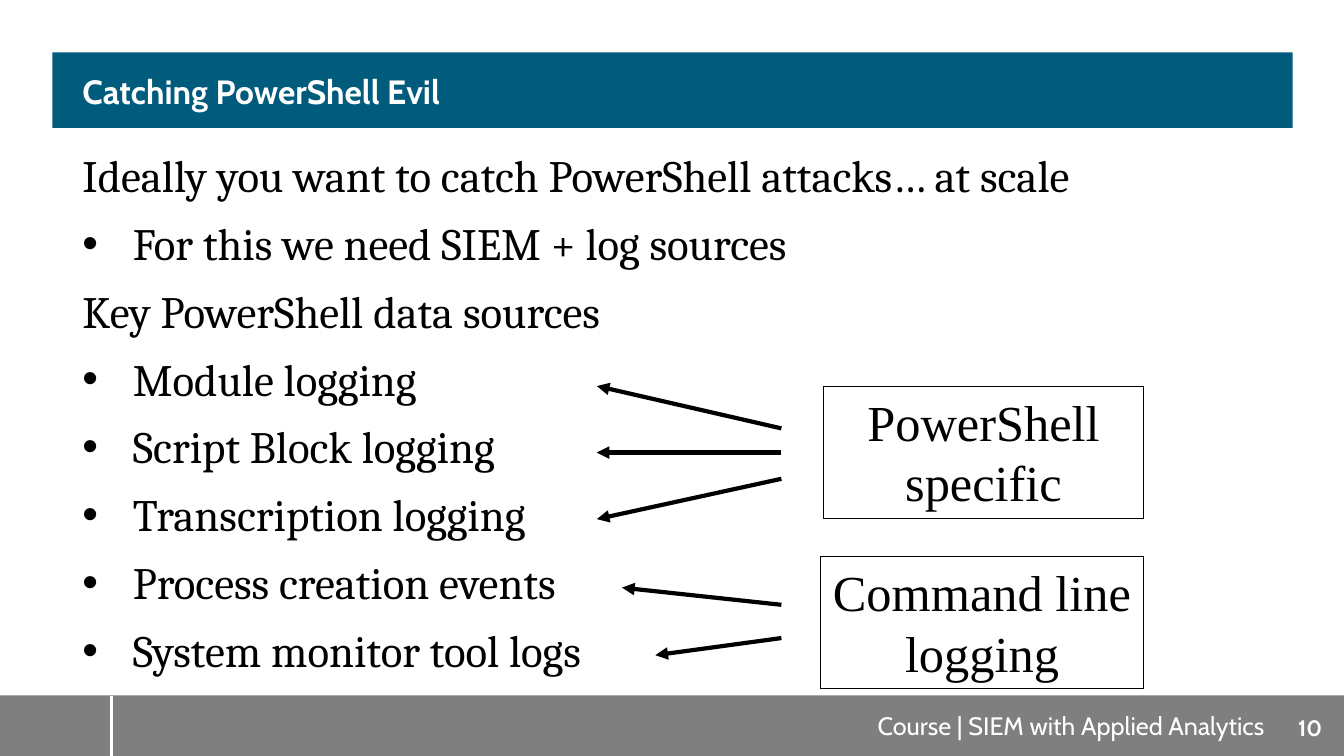
import pptx
import pptx.util
import pptx.dml.color
import pptx.enum.shapes
import pptx.enum.text
import pptx.oxml.ns
import lxml.etree

Inches = pptx.util.Inches
Pt = pptx.util.Pt
RGBColor = pptx.dml.color.RGBColor
ALIGN = pptx.enum.text.PP_ALIGN
ANCHOR = pptx.enum.text.MSO_ANCHOR

WHITE = RGBColor(0xFF, 0xFF, 0xFF)
BLACK = RGBColor(0, 0, 0)
GRAY = RGBColor(0x7F, 0x7F, 0x7F)
TEAL = RGBColor(0x00, 0x5B, 0x7D)

BODY = [
    ("Ideally you want to catch PowerShell attacks… at scale", False),
    ("For this we need SIEM + log sources", True),
    ("Key PowerShell data sources", False),
    ("Module logging", True),
    ("Script Block logging", True),
    ("Transcription logging", True),
    ("Process creation events", True),
    ("System monitor tool logs", True),
]


def add_child(parent, tag, **attrs):
    child = lxml.etree.SubElement(parent, pptx.oxml.ns.qn(tag))
    for name, value in attrs.items():
        child.set(name, str(value))
    return child


def write(p, text, font="Cambria", size=32, color=BLACK, bold=False,
          align=ALIGN.LEFT, before=0, spacing=None, bullet=False):
    p.alignment = align
    p.space_before = Pt(before)
    if spacing:
        p.line_spacing = spacing
    if bullet:
        pPr = p._p.get_or_add_pPr()
        pPr.set("marL", str(Inches(0.5)))
        pPr.set("indent", str(-Inches(0.5)))
        add_child(pPr, "a:buFont", typeface="Arial")
        add_child(pPr, "a:buChar", char="•")
    r = p.add_run()
    r.text = text
    r.font.name = font
    r.font.size = Pt(size)
    r.font.bold = bold
    r.font.color.rgb = color


def add_box(s, left, top, width, height, anchor=ANCHOR.TOP):
    sp = s.shapes.add_textbox(Inches(left), Inches(top), Inches(width), Inches(height))
    tf = sp.text_frame
    tf.word_wrap = True
    tf.vertical_anchor = anchor
    return tf


def add_rect(s, left, top, width, height, fill=None, line=None):
    sp = s.shapes.add_shape(pptx.enum.shapes.MSO_SHAPE.RECTANGLE,
                            Inches(left), Inches(top), Inches(width), Inches(height))
    sp.shadow.inherit = False
    if fill is None:
        sp.fill.background()
    else:
        sp.fill.solid()
        sp.fill.fore_color.rgb = fill
    if line is None:
        sp.line.fill.background()
    else:
        sp.line.color.rgb = line
        sp.line.width = Pt(0.75)
    return sp


def add_line(s, start, end, color, width, arrow=False):
    line = s.shapes.add_connector(pptx.enum.shapes.MSO_CONNECTOR.STRAIGHT,
                                  Inches(start[0]), Inches(start[1]),
                                  Inches(end[0]), Inches(end[1]))
    line.line.color.rgb = color
    line.line.width = Pt(width)
    if arrow:
        add_child(line.line._get_or_add_ln(), "a:tailEnd", type="triangle")
    add_child(line._element.spPr, "a:effectLst")


def add_footer(s, left, top, width, height):
    add_rect(s, left, top, width, height, fill=GRAY)
    add_line(s, (left + 1.11, top), (left + 1.11, top + height), WHITE, 2)
    tf = add_box(s, left + 5.97, top + 0.1, 6.67, 0.4)
    write(tf.paragraphs[0], "Course | SIEM with Applied Analytics",
          font="Cabin", size=18, color=WHITE, align=ALIGN.RIGHT)
    tf = add_box(s, left + 12.64, top + 0.02, 0.71, height, ANCHOR.MIDDLE)
    write(tf.paragraphs[0], "10", font="Cabin", size=16, color=WHITE,
          bold=True, align=ALIGN.CENTER)


def add_title(s, left, top, width, height):
    add_rect(s, left, top, width, height, fill=TEAL)
    tf = add_box(s, left + 0.2, top, width - 0.4, height, ANCHOR.MIDDLE)
    tf.margin_top = Inches(0.07)
    tf.margin_bottom = 0
    write(tf.paragraphs[0], "Catching PowerShell Evil", font="Cabin", size=24,
          color=WHITE, bold=True, spacing=0.9)


def add_body(s, left, top, width, height):
    tf = add_box(s, left, top, width, height)
    for i, (text, bullet) in enumerate(BODY):
        p = tf.add_paragraph() if i else tf.paragraphs[0]
        write(p, text, before=10 if i else 0, bullet=bullet)


def add_callout(s, left, top, width, height, text, arrows):
    sp = add_rect(s, left, top, width, height, line=BLACK)
    tf = sp.text_frame
    tf.word_wrap = True
    tf.vertical_anchor = ANCHOR.TOP
    write(tf.paragraphs[0], text, font="Times New Roman", size=36, align=ALIGN.CENTER)
    for start_y, end_x, end_y in arrows:
        add_line(s, (7.75, top + start_y), (end_x, top + end_y), BLACK, 3, arrow=True)


def main():
    prs = pptx.Presentation()
    prs.slide_width = Inches(13.33)
    prs.slide_height = Inches(7.5)
    s = prs.slides.add_slide(prs.slide_layouts[6])
    add_footer(s, 0, 6.9, 13.33, 0.6)
    add_title(s, 0.52, 0.52, 12.3, 0.75)
    add_body(s, 0.72, 1.42, 11.9, 5.33)
    add_callout(s, 8.17, 3.83, 3.17, 1.31, "PowerShell specific",
                [(0.42, 5.92, 0), (0.66, 5.92, 0.66), (0.92, 5.92, 1.32)])
    add_callout(s, 8.14, 5.52, 3.2, 1.31, "Command line logging",
                [(0.48, 6.17, 0.31), (0.81, 6.5, 0.98)])
    prs.save("out.pptx")


if __name__ == "__main__":
    main()
